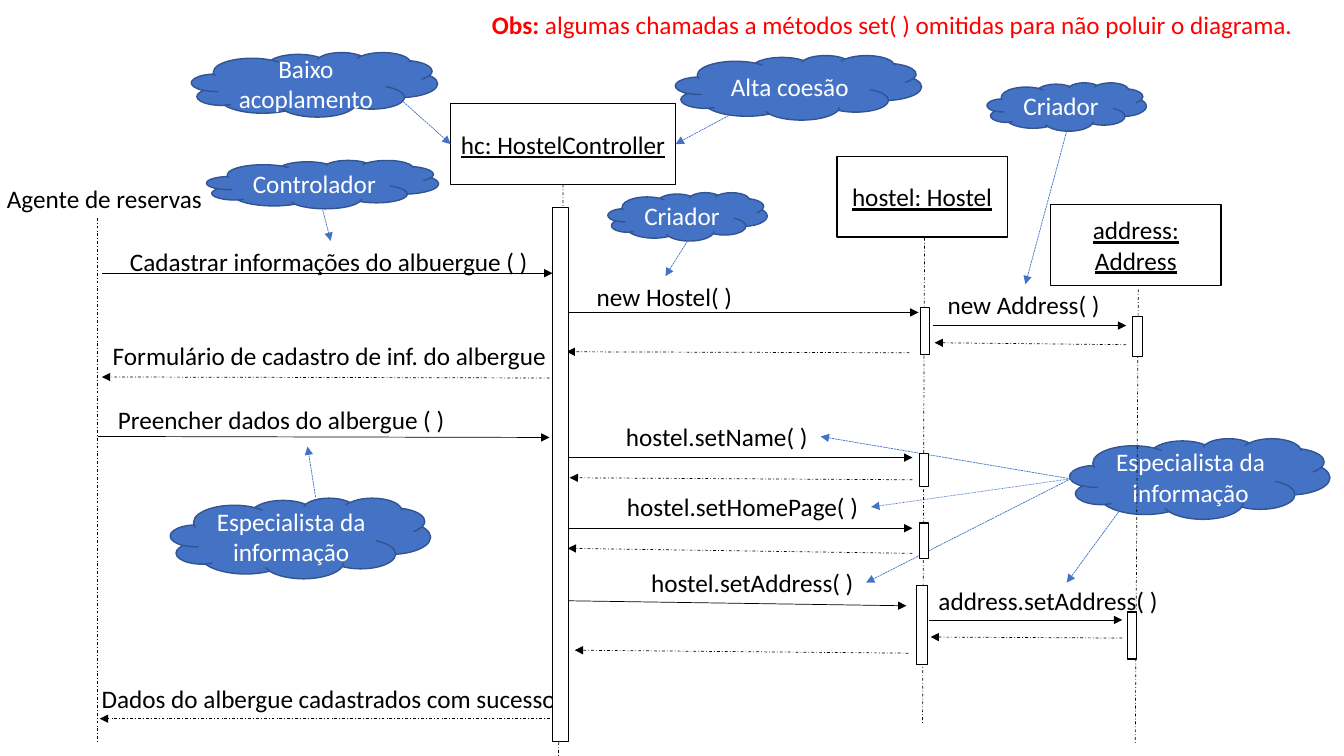
from lxml import etree
from pptx import Presentation
from pptx.dml.color import RGBColor
from pptx.enum.dml import MSO_LINE
from pptx.enum.shapes import MSO_CONNECTOR, MSO_SHAPE
from pptx.enum.text import MSO_AUTO_SIZE, PP_ALIGN
from pptx.oxml.ns import qn
from pptx.util import Inches, Pt

BLACK, WHITE, BLUE, NAVY, RED = "000000", "FFFFFF", "4472C4", "325491", "FF0000"


def rgb(color):
    return RGBColor.from_string(color)


def add_line(ends, color, dash=None, arrow=True):
    """Draw a thin line between two points, with an arrowhead at its end."""
    c = s.shapes.add_connector(MSO_CONNECTOR.STRAIGHT, *[Inches(v) for v in ends])
    c.line.color.rgb = rgb(color)
    c.line.width = Pt(0.5)
    if dash:
        c.line.dash_style = dash
    if arrow:
        etree.SubElement(c.line._get_or_add_ln(), qn("a:tailEnd"), type="triangle")
    etree.SubElement(c._element.spPr, qn("a:effectLst"))
    return c


prs = Presentation()
prs.slide_width, prs.slide_height = Inches(13.33), Inches(7.5)
s = prs.slides.add_slide(prs.slide_layouts[6])

# Objects and pattern clouds
CLOUD, BOX = MSO_SHAPE.CLOUD, MSO_SHAPE.FLOWCHART_PROCESS
nodes = [
    (BOX, "hc: HostelController", 4.47, 1.03, 2.23, 0.8),
    (BOX, "hostel: Hostel", 8.3, 1.55, 1.69, 0.8),
    (BOX, "address: Address", 10.42, 2.03, 1.69, 0.8),
    (CLOUD, "Baixo acoplamento", 1.9, 0.52, 2.44, 0.64),
    (CLOUD, "Alta coesão", 6.7, 0.55, 2.44, 0.64),
    (CLOUD, "Controlador", 2.05, 1.59, 2.3, 0.48),
    (CLOUD, "Criador", 6.03, 1.91, 1.58, 0.48),
    (CLOUD, "Criador", 9.79, 0.82, 1.58, 0.48),
    (CLOUD, "Especialista da informação", 1.69, 4.94, 2.58, 0.8),
    (CLOUD, "Especialista da informação", 10.61, 4.35, 2.58, 0.8),
]
boxes = []
for kind, text, *place in nodes:
    sp = s.shapes.add_shape(kind, *[Inches(v) for v in place])
    sp.shadow.inherit = False
    sp.line.width = Pt(1)
    sp.text_frame.text = text
    p = sp.text_frame.paragraphs[0]
    p.alignment = PP_ALIGN.CENTER
    font = p.runs[0].font
    font.name, font.size = "Calibri", Pt(18)
    if kind == BOX:
        sp.fill.background()
        sp.line.color.rgb = font.color.rgb = rgb(BLACK)
        font.underline = True
        boxes.append(sp)
    else:
        sp.fill.solid()
        sp.fill.fore_color.rgb = rgb(BLUE)
        sp.line.color.rgb = rgb(NAVY)
        font.color.rgb = rgb(WHITE)
controller = boxes[0]

# Lifelines
lifelines = [
    (0.97, 2.16, 0.97, 7.36),
    (5.58, 1.83, 5.54, 7.5),
    (9.17, 2.36, 9.15, 7.18),
    (11.29, 2.87, 11.26, 7.37),
]
agent_line, controller_line, *_ = [
    add_line(ends, BLACK, MSO_LINE.DASH_DOT, arrow=False) for ends in lifelines
]
controller_line.begin_connect(controller, 2)

# Calls and returns
calls = [
    (1.01, 2.71, 5.48, 2.71),
    (0.97, 4.33, 5.45, 4.34),
    (5.62, 3.1, 9.11, 3.1),
    (5.62, 4.54, 9.05, 4.54),
    (5.64, 5.24, 9.05, 5.24),
    (5.62, 5.96, 8.99, 6.01),
    (9.25, 3.23, 11.17, 3.23),
    (9.21, 6.15, 11.13, 6.15),
]
returns = [
    (5.45, 3.75, 1.01, 3.74),
    (5.45, 7.13, 0.99, 7.13),
    (9.02, 3.5, 5.62, 3.49),
    (9.05, 4.76, 5.65, 4.74),
    (9.05, 5.49, 5.63, 5.44),
    (9.01, 6.48, 5.7, 6.45),
    (11.17, 3.42, 9.27, 3.4),
    (11.13, 6.33, 9.23, 6.32),
]
for ends in calls:
    add_line(ends, BLACK)
for ends in returns:
    add_line(ends, BLACK, MSO_LINE.DASH_DOT)

# Arrows from the clouds
DASH, DOT = MSO_LINE.SQUARE_DOT, MSO_LINE.ROUND_DOT
coupling = add_line((4, 1.01, 4.47, 1.43), BLUE, DASH)
coupling.end_connect(controller, 1)
cohesion = add_line((7.35, 1.08, 6.7, 1.43), BLUE, DASH)
cohesion.end_connect(controller, 3)
cloud_arrows = [
    (3.2, 2.08, 3.28, 2.39),
    (6.82, 2.39, 6.6, 2.74),
    (10.58, 1.3, 10.17, 2.82),
    (3.13, 4.93, 3.05, 4.43),
    (10.62, 4.75, 8.14, 4.33),
    (10.62, 4.75, 8.59, 5.78),
    (11.13, 5.03, 10.58, 5.78),
]
for ends in cloud_arrows:
    add_line(ends, BLUE, DASH)
add_line((10.62, 4.75, 8.64, 5.03), BLUE, DOT)

# Message labels and the remark
labels = [
    ("Agente de reservas", -0.03, 1.77, 2.16),
    ("Cadastrar informações do albuergue ( )", 1.19, 2.39, 4.19),
    ("Formulário de cadastro de inf. do albergue", 1.02, 3.33, 4.57),
    ("Preencher dados do albergue ( )", 1.07, 3.96, 3.49),
    ("Dados do albergue cadastrados com sucesso", 0.91, 6.73, 4.9),
    ("new Hostel( )", 5.82, 2.74, 1.56),
    ("hostel.setName( )", 6.11, 4.13, 2.02),
    ("hostel.setHomePage( )", 6.12, 4.83, 2.52),
    ("hostel.setAddress( )", 6.36, 5.58, 2.23),
    ("new Address( )", 9.3, 2.82, 1.73),
    ("address.setAddress( )", 9.21, 5.76, 2.4),
    ("Obs: ", 4.78, 0.04, 8.16),
]
for text, x, y, w in labels:
    tf = s.shapes.add_textbox(Inches(x), Inches(y), Inches(w), Inches(0.4)).text_frame
    tf.word_wrap = False
    tf.auto_size = MSO_AUTO_SIZE.SHAPE_TO_FIT_TEXT
    tf.text = text
    p = tf.paragraphs[0]
    remark = text == "Obs: "
    if remark:
        p.runs[0].font.bold = True
        p.add_run().text = "algumas chamadas a métodos set( ) omitidas para não poluir o diagrama."
    for r in p.runs:
        r.font.name, r.font.size = "Calibri", Pt(18)
        r.font.color.rgb = rgb(RED if remark else BLACK)

# Activation bars
bars = [
    (5.48, 2.06, 0.16, 5.3),
    (9.13, 3.05, 0.09, 0.47),
    (9.12, 4.5, 0.09, 0.33),
    (9.12, 5.19, 0.09, 0.35),
    (9.09, 5.81, 0.11, 0.78),
    (11.23, 3.14, 0.1, 0.4),
    (11.18, 6.07, 0.09, 0.47),
]
for place in bars:
    sp = s.shapes.add_shape(MSO_SHAPE.RECTANGLE, *[Inches(v) for v in place])
    sp.shadow.inherit = False
    sp.fill.solid()
    sp.fill.fore_color.rgb = rgb(WHITE)
    sp.line.color.rgb = rgb(BLACK)
    sp.line.width = Pt(1)

prs.save("out.pptx")
